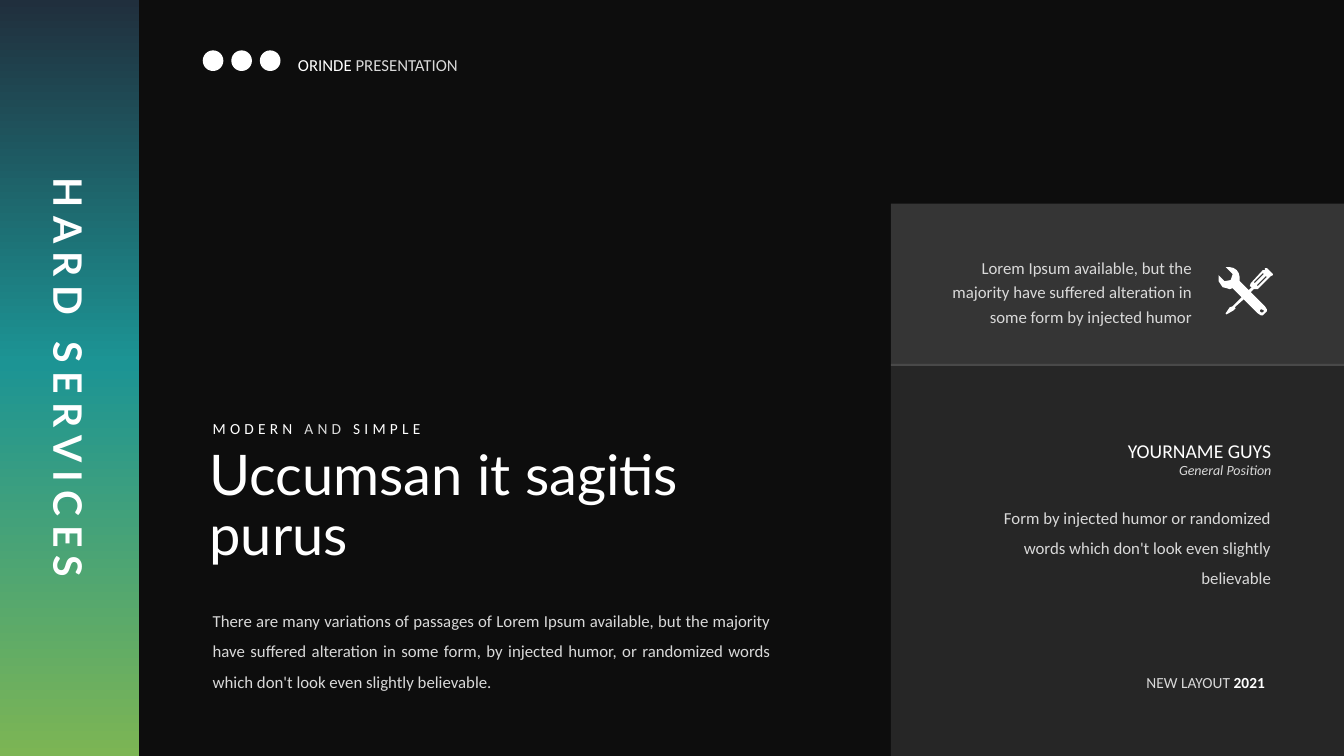
from copy import deepcopy

from lxml.etree import SubElement
from pptx import Presentation
from pptx.dml.color import RGBColor
from pptx.enum.shapes import MSO_SHAPE as Shape
from pptx.enum.text import MSO_AUTO_SIZE as Fit, PP_ALIGN as Align
from pptx.oxml.ns import qn
from pptx.util import Cm, Pt

BLACK = RGBColor(0x0D, 0x0D, 0x0D)
PANEL = RGBColor(0x26, 0x26, 0x26)
WHITE = RGBColor(0xFF, 0xFF, 0xFF)
GREY = RGBColor(0xD9, 0xD9, 0xD9)
NAVY = RGBColor(0x20, 0x2F, 0x3D)
TEAL = RGBColor(0x1C, 0x94, 0x94)
GREEN = RGBColor(0x7C, 0xB5, 0x54)

EVEN = (0.25, 0.13, 0.25, 0.13)
WIDE = (0.25, 0.13, 0.41, 0.1)

# Contours of the tools icon, on a grid 54 units wide
GRID = 54
TOOLS = [
    (53, 6), (48, 1), (46, 1), (46, 3), (44, 3), (32, 16), (31, 19), (33, 20),
    (30, 23), (21, 14), (21, 10), (20, 6), (18, 3), (15, 1), (11, 0), (7, 0),
    (14, 7), (12, 13), (6, 14), (0, 8), (0, 14), (2, 17), (4, 20), (8, 21),
    (11, 22), (14, 21), (23, 30), (14, 39), (11, 40), (7, 46), (8, 47),
    (15, 43), (17, 41), (16, 40), (25, 32), (39, 46), (42, 48), (44, 48),
    (46, 46), (48, 44), (48, 42), (46, 39), (32, 25), (35, 22), (39, 22),
    (51, 10), (52, 9), (54, 8), (54, 7),
]
HOLE = [(43, 42), (45, 43), (45, 44), (44, 45), (42, 45), (41, 44), (41, 43), (42, 42)]
SLOT = [(36, 16), (35, 15), (44, 6), (45, 7)]


class Page:
    def __init__(self, slide):
        self.slide = slide
        self.font = "Calibri"
        back = slide.background.fill
        back.solid()
        back.fore_color.rgb = BLACK

    def paint(self, shape, color):
        shape.shadow.inherit = False
        shape.line.fill.background()
        shape.fill.solid()
        shape.fill.fore_color.rgb = color

    def block(self, place, color, kind=Shape.RECTANGLE, alpha=None):
        shape = self.slide.shapes.add_shape(kind, *map(Cm, place))
        self.paint(shape, color)
        if alpha is not None:
            tone = next(shape.element.spPr.iter(qn("a:srgbClr")))
            SubElement(tone, qn("a:alpha"), val=str(alpha * 1000))
        return shape

    def fade(self, place, stops):
        """Add a rectangle whose colours run from top to bottom."""
        shape = self.block(place, stops[0][1])
        fill = shape.fill
        fill.gradient()
        fill.gradient_angle = 270
        marks = next(shape.element.spPr.iter(qn("a:gsLst")))
        while len(marks) < len(stops):
            marks.append(deepcopy(marks[0]))
        for mark, (part, color) in zip(fill.gradient_stops, stops):
            mark.position = part
            mark.color.rgb = color

    def icon(self, left, top, width, paths):
        scale = Cm(width) / GRID
        pen = self.slide.shapes.build_freeform(*paths[0][0], scale=scale)
        for path in paths:
            if path is not paths[0]:
                pen.move_to(*path[0])
            pen.add_line_segments(path[1:], close=True)
        self.paint(pen.convert_to_shape(Cm(left), Cm(top)), WHITE)

    def text(self, place, size, runs, align=Align.LEFT, lead=1.0, inset=EVEN,
             font=None, gap=0, turn=0, bold=False, slant=False):
        """Add one paragraph; each run is its words, colour and optional bold."""
        box = self.slide.shapes.add_textbox(*map(Cm, place))
        box.rotation = turn
        frame = box.text_frame
        frame.word_wrap = True
        frame.auto_size = Fit.SHAPE_TO_FIT_TEXT
        (frame.margin_left, frame.margin_top,
         frame.margin_right, frame.margin_bottom) = map(Cm, inset)
        para = frame.paragraphs[0]
        para.alignment = align
        para.line_spacing = lead
        for words, color, *heavy in runs:
            run = para.add_run()
            run.text = words
            face = run.font
            face.name = font or self.font
            face.size = Pt(size)
            face.color.rgb = color
            face.bold = bold or bool(heavy)
            face.italic = slant
            if gap:
                run._r.get_or_add_rPr().set("spc", str(gap * 100))


def main():
    deck = Presentation()
    deck.slide_width, deck.slide_height = Cm(33.87), Cm(19.05)
    page = Page(deck.slides.add_slide(deck.slide_layouts[6]))

    page.block((22.45, 9.17, 11.42, 9.88), PANEL)
    page.text((5.11, 15.01, 14.73, 2.54), 12, [(
        "There are many variations of passages of Lorem Ipsum available, but the "
        "majority have suffered alteration in some form, by injected humor, or "
        "randomized words which don't look even slightly believable.", GREY)],
        Align.JUSTIFY, 1.5, WIDE)
    page.text((5.03, 11.13, 14.81, 3.33), 40,
              [("Uccumsan it sagitis purus", WHITE)], lead=0.9, font="Lato")
    page.text((5.11, 10.44, 10.69, 0.74), 11,
              [("MODERN ", WHITE), ("AND", GREY), (" SIMPLE", WHITE)], gap=3)

    page.text((25.48, 11.05, 6.81, 0.74), 14,
              [("YOURNAME GUYS", WHITE)], Align.RIGHT, 0.8)
    page.text((25.48, 11.58, 6.81, 0.61), 10,
              [("General Position", GREY)], Align.RIGHT, 0.8, slant=True)

    page.fade((0, 0, 3.51, 19.05), [(0, NAVY), (0.48, TEAL), (1, GREEN)])
    page.text((-4.78, 8.79, 13.03, 1.45), 28, [("HARD SERVICES", WHITE)],
              Align.CENTER, font="Lato", gap=6, turn=90, bold=True)

    for spot in range(3):
        page.block((5.11 + 0.72 * spot, 1.27, 0.52, 0.52), WHITE, Shape.OVAL)
    page.text((7.26, 0.99, 5.31, 0.99), 12,
              [("ORINDE", WHITE), (" PRESENTATION", GREY)],
              Align.JUSTIFY, 1.5, WIDE)

    page.block((22.45, 5.13, 11.42, 4.09), GREY, alpha=20)
    page.text((23.19, 6.27, 7.26, 2.08), 12, [(
        "Lorem Ipsum available, but the majority have suffered alteration in "
        "some form by injected humor", GREY)], Align.RIGHT, 1.2, WIDE)
    page.text((24.08, 12.4, 8.36, 2.46), 12, [(
        "Form by injected humor or randomized words which don't look even "
        "slightly believable", GREY)], Align.RIGHT, 1.5, WIDE)
    twin = [(x + 3, y + 3) for x, y in SLOT]
    page.icon(30.71, 6.73, 1.37, [TOOLS, HOLE, SLOT, twin])
    page.text((27.84, 16.82, 4.45, 0.71), 11,
              [("NEW LAYOUT ", GREY), ("2021", WHITE, True)],
              Align.RIGHT, inset=WIDE)

    deck.save("out.pptx")


if __name__ == "__main__":
    main()
